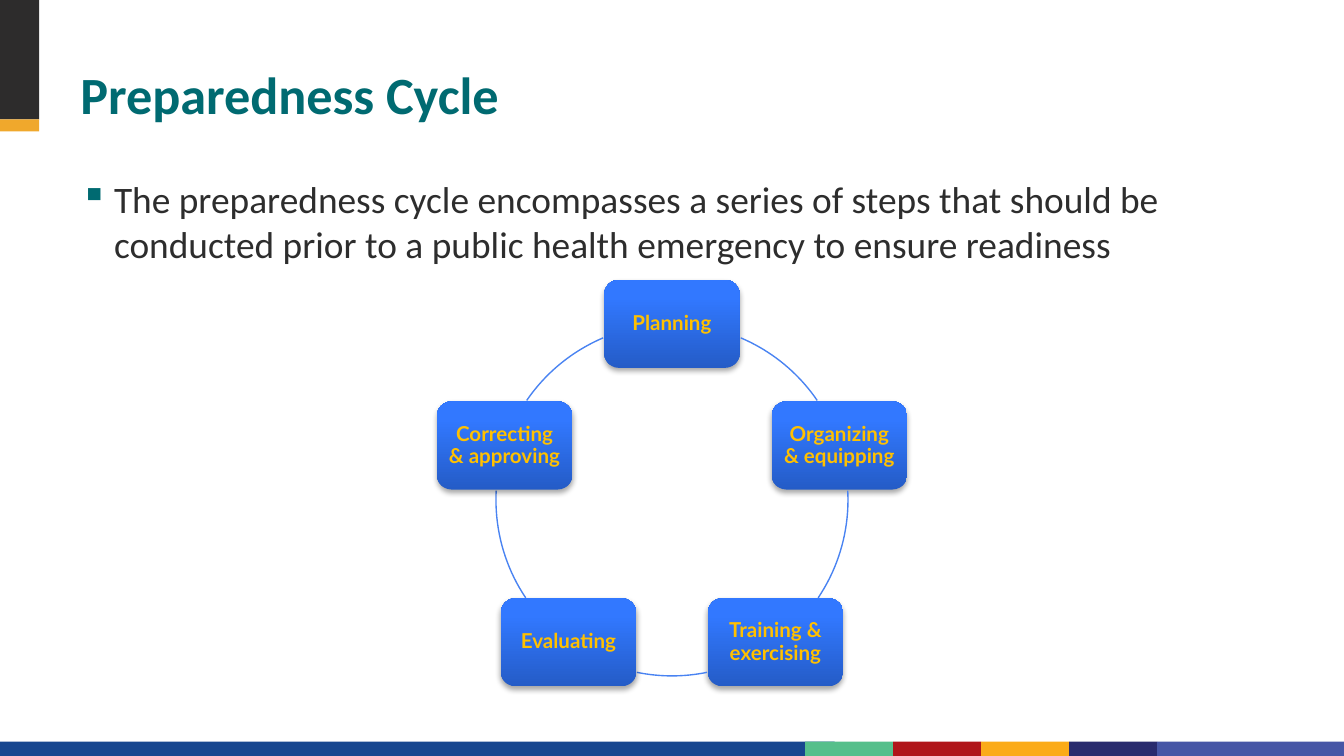
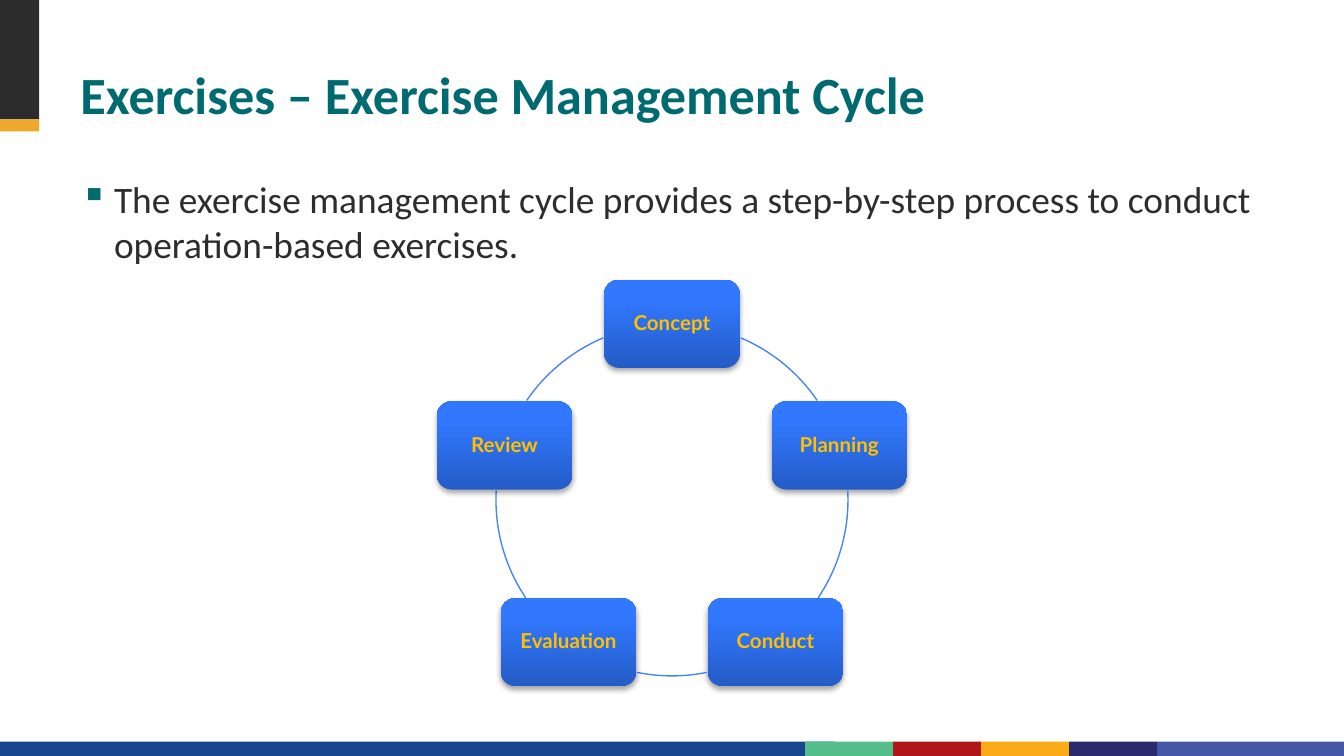
"""Build two slides that each show a five-step cycle."""
from lxml import etree
from math import cos, radians, sin

from pptx import Presentation
from pptx.dml.color import RGBColor
from pptx.enum.shapes import MSO_SHAPE
from pptx.enum.text import MSO_ANCHOR, PP_ALIGN
from pptx.oxml import parse_xml
from pptx.oxml.ns import nsdecls, qn
from pptx.util import Pt

TEAL = RGBColor(0x00, 0x6A, 0x71)
INK = RGBColor(0x2D, 0x2D, 0x2D)
CHARCOAL = RGBColor(0x2D, 0x2C, 0x2C)
AMBER = RGBColor(0xF0, 0xA8, 0x2C)
GOLD = RGBColor(0xFF, 0xC0, 0x00)
ARC_BLUE = RGBColor(0x49, 0x83, 0xF2)
NAVY = RGBColor(0x17, 0x46, 0x8F)
GREEN = RGBColor(0x55, 0xBF, 0x8B)
RED = RGBColor(0xB0, 0x15, 0x19)
YELLOW = RGBColor(0xFB, 0xAB, 0x18)
INDIGO = RGBColor(0x29, 0x2B, 0x6E)
VIOLET = RGBColor(0x46, 0x56, 0xA6)
BOX_DARK = RGBColor(0x24, 0x5C, 0xC7)
BOX_MID = RGBColor(0x32, 0x78, 0xFF)
BOX_LIGHT = RGBColor(0x34, 0x79, 0xFF)

WIDTH, HEIGHT = 720, 405
CENTER_X, CENTER_Y, RADIUS = 360, 267.8, 94.3
BOX_W, BOX_H = 72.6, 47.2
ARCS = [(23, 55.6), (87, 123.8), (168.5, 191.5), (236.2, 273), (304.4, 337)]

GRADIENT = (
    f'<a:gradFill {nsdecls("a")} rotWithShape="1"><a:gsLst>'
    f'<a:gs pos="0"><a:srgbClr val="{BOX_DARK}"/></a:gs>'
    f'<a:gs pos="80000"><a:srgbClr val="{BOX_MID}"/></a:gs>'
    f'<a:gs pos="100000"><a:srgbClr val="{BOX_LIGHT}"/></a:gs>'
    '</a:gsLst><a:lin ang="16200000" scaled="0"/></a:gradFill>')
SHADOW = (
    f'<a:effectLst {nsdecls("a")}>'
    f'<a:outerShdw blurRad="{Pt(3.1)}" dist="{Pt(1.8)}" dir="5400000" rotWithShape="0">'
    '<a:srgbClr val="000000"><a:alpha val="35000"/></a:srgbClr>'
    '</a:outerShdw></a:effectLst>')


class Deck:
    """Hold the shared style and the current slide."""

    def __init__(self):
        self.prs = Presentation()
        self.prs.slide_width, self.prs.slide_height = Pt(WIDTH), Pt(HEIGHT)
        self.slide = None

    def start_slide(self):
        """Add a blank slide with the footer stripe and corner tab."""
        self.slide = self.prs.slides.add_slide(self.prs.slide_layouts[6])
        top, step, first = 397.4, 47.15, 431.3
        self.block(0, top, 447.1, HEIGHT - top, NAVY)
        for i, color in enumerate((GREEN, RED, YELLOW, INDIGO, VIOLET)):
            left = first + i * step
            width = WIDTH - left if color == VIOLET else step
            self.block(left, top, width, HEIGHT - top, color)
        self.block(0, 0, 21, 64, CHARCOAL)
        self.block(0, 64, 21, 6.4, AMBER)

    def shape(self, kind, left, top, width, height):
        """Add a preset shape without a shadow."""
        shape = self.slide.shapes.add_shape(
            kind, Pt(left), Pt(top), Pt(width), Pt(height))
        shape.shadow.inherit = False
        return shape

    def block(self, left, top, width, height, color):
        """Add a plain filled rectangle."""
        block = self.shape(MSO_SHAPE.RECTANGLE, left, top, width, height)
        block.fill.solid()
        block.fill.fore_color.rgb = color
        block.line.fill.background()

    def fill_text(self, frame, text, size, color, font, bold=False):
        """Put one styled paragraph in a frame and return it."""
        frame.word_wrap = True
        paragraph = frame.paragraphs[0]
        run = paragraph.add_run()
        run.text = text
        run.font.name, run.font.size, run.font.bold = font, Pt(size), bold
        run.font.color.rgb = color
        return paragraph

    def text_frame(self, left, top, width, height):
        """Add a text box and return its frame."""
        box = self.slide.shapes.add_textbox(Pt(left), Pt(top), Pt(width), Pt(height))
        return box.text_frame

    def title(self, text):
        """Add the slide title."""
        frame = self.text_frame(36, 16.6, 648, 54)
        frame.vertical_anchor = MSO_ANCHOR.BOTTOM
        self.fill_text(frame, text, 28, TEAL, "Calibri", True).line_spacing = Pt(30)

    def bullet(self, text, height):
        """Add the body text with a square bullet."""
        frame = self.text_frame(36, 90.7, 642.2, height)
        paragraph = self.fill_text(frame, text, 20, INK, "Calibri")
        paragraph.space_before = Pt(4)
        props = paragraph._p.get_or_add_pPr()
        props.set("marL", str(Pt(18)))
        props.set("indent", str(-Pt(18)))
        color = etree.SubElement(props, qn("a:buClr"))
        etree.SubElement(color, qn("a:srgbClr")).set("val", str(TEAL))
        etree.SubElement(props, qn("a:buChar")).set("char", "▪")

    def step(self, text, angle):
        """Add a step box on the ring, at an angle clockwise from the top."""
        x = CENTER_X + RADIUS * sin(radians(angle))
        y = CENTER_Y - RADIUS * cos(radians(angle))
        box = self.shape(MSO_SHAPE.ROUNDED_RECTANGLE,
                         x - BOX_W / 2, y - BOX_H / 2, BOX_W, BOX_H)
        box.line.fill.background()
        props = box._element.spPr
        props.find(qn("a:prstGeom")).addnext(parse_xml(GRADIENT))
        props.replace(props.find(qn("a:effectLst")), parse_xml(SHADOW))
        frame = box.text_frame
        frame.margin_left = frame.margin_right = Pt(3.3)
        frame.margin_top = frame.margin_bottom = Pt(3.3)
        frame.vertical_anchor = MSO_ANCHOR.MIDDLE
        paragraph = self.fill_text(frame, text, 11, GOLD, "Lato", True)
        paragraph.alignment, paragraph.line_spacing = PP_ALIGN.CENTER, 0.9

    def arc(self, start, end):
        """Add a ring segment between two angles clockwise from the top."""
        arc = self.shape(MSO_SHAPE.ARC, CENTER_X - RADIUS, CENTER_Y - RADIUS,
                         2 * RADIUS, 2 * RADIUS)
        for i, angle in enumerate((start, end)):
            arc.adjustments[i] = (angle - 90) % 360 * 0.6
        arc.fill.background()
        arc.line.color.rgb = ARC_BLUE
        arc.line.width = Pt(0.75)

    def cycle(self, steps):
        """Add the steps at equal angles, each followed by its arc."""
        for i, (text, ends) in enumerate(zip(steps, ARCS)):
            self.step(text, i * 360 / len(steps))
            self.arc(*ends)


SLIDES = [
    ("Preparedness Cycle",
     "The preparedness cycle encompasses a series of steps that should be "
     "conducted prior to a public health emergency to ensure readiness", 262.8,
     ["Planning", "Organizing & equipping", "Training & exercising",
      "Evaluating", "Correcting & approving"]),
    ("Exercises – Exercise Management Cycle",
     "The exercise management cycle provides a step-by-step process to conduct "
     "operation-based exercises.", 176.4,
     ["Concept", "Planning", "Conduct", "Evaluation", "Review"]),
]

deck = Deck()
for heading, body, body_height, steps in SLIDES:
    deck.start_slide()
    deck.title(heading)
    deck.bullet(body, body_height)
    deck.cycle(steps)
deck.prs.save("out.pptx")
